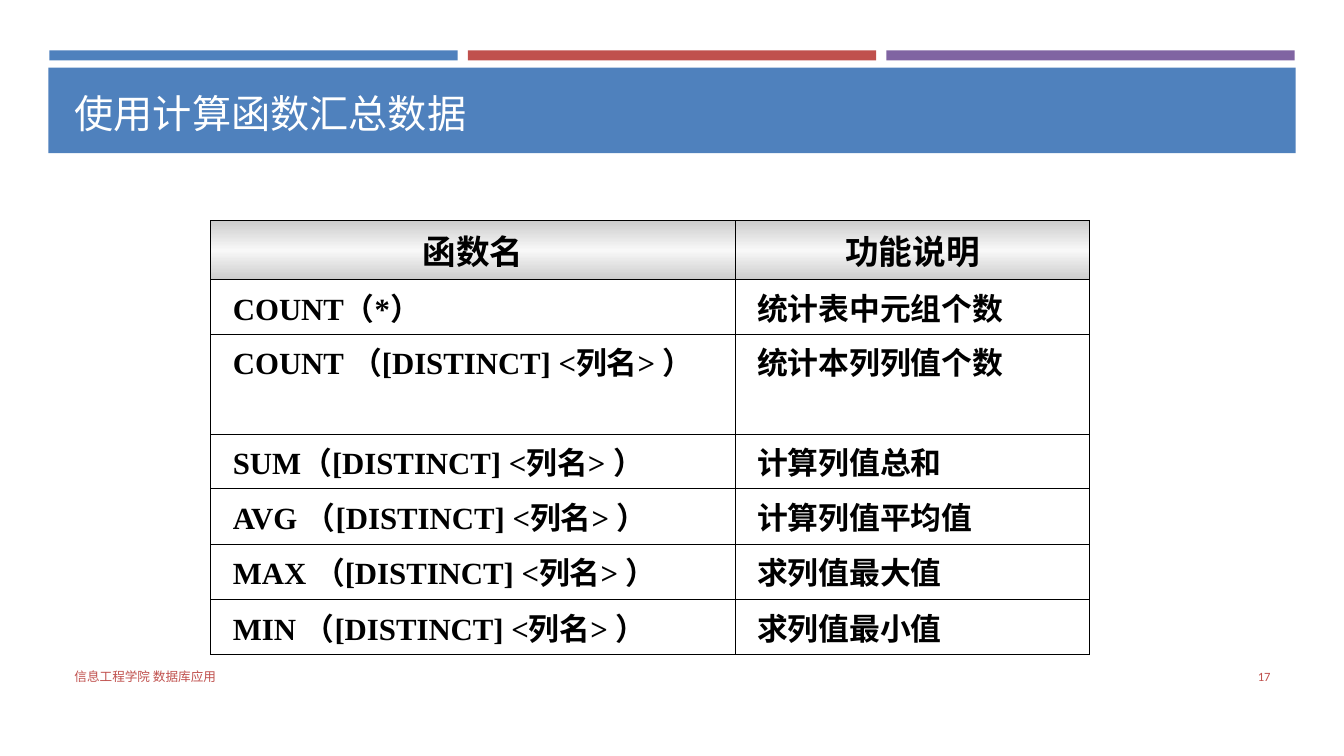
from dataclasses import dataclass

from lxml import etree
from pptx import Presentation
from pptx.dml.color import RGBColor
from pptx.enum.shapes import MSO_SHAPE
from pptx.enum.text import MSO_ANCHOR, MSO_AUTO_SIZE, PP_ALIGN
from pptx.oxml import parse_xml
from pptx.util import Inches, Pt

RECTANGLE = MSO_SHAPE.RECTANGLE
MIDDLE, BOTTOM, TOP = MSO_ANCHOR.MIDDLE, MSO_ANCHOR.BOTTOM, MSO_ANCHOR.TOP
LEFT, RIGHT, CENTER = PP_ALIGN.LEFT, PP_ALIGN.RIGHT, PP_ALIGN.CENTER
NO_AUTO_SIZE = MSO_AUTO_SIZE.NONE
TITLE_ONLY = 5
DRAWING = "http://schemas.openxmlformats.org/drawingml/2006/main"


@dataclass(frozen=True)
class Theme:
    blue: str = "4F81BD"
    red: str = "C0504D"
    purple: str = "8064A2"
    white: str = "FFFFFF"
    black: str = "000000"
    header_edge: str = "CCCCCC"
    header_middle: str = "F8F8F8"
    serif: str = "Times New Roman"
    sans: str = "Calibri"
    title_size: int = 28
    header_size: int = 24
    body_size: int = 22
    footer_size: int = 9


class SlideBuilder:
    def __init__(self, slide, theme):
        self.slide = slide
        self.theme = theme

    def style(self, paragraph, font_name, size, color, align=LEFT, bold=False):
        paragraph.alignment = align
        font = paragraph.font
        font.name, font.size, font.bold = font_name, Pt(size), bold
        font.color.rgb = RGBColor.from_string(color)

    def bar(self, left, top, width, height, color):
        shape = self.slide.shapes.add_shape(
            RECTANGLE, Inches(left), Inches(top), Inches(width), Inches(height))
        shape.shadow.inherit = False
        shape.fill.solid()
        shape.fill.fore_color.rgb = RGBColor.from_string(color)
        shape.line.fill.background()

    def title(self, text, left, top, width, height):
        title = self.slide.shapes.title
        title.left, title.top = Inches(left), Inches(top)
        title.width, title.height = Inches(width), Inches(height)
        frame = title.text_frame
        frame.text = text
        frame.auto_size = NO_AUTO_SIZE
        frame.vertical_anchor = BOTTOM
        self.style(frame.paragraphs[0], self.theme.serif,
                   self.theme.title_size, self.theme.white)
        # Bring the title in front of the banner
        self.slide.shapes._spTree.append(title._element)

    def footer(self, text, left, width, align=LEFT):
        shape = self.slide.shapes.add_textbox(
            Inches(left), Inches(6.51), Inches(width), Inches(0.4))
        frame = shape.text_frame
        frame.word_wrap = True
        frame.vertical_anchor = MIDDLE
        frame.text = text
        self.style(frame.paragraphs[0], self.theme.sans,
                   self.theme.footer_size, self.theme.red, align)

    def table(self, rows, left, top, widths, heights):
        frame = self.slide.shapes.add_table(
            len(rows), len(widths), Inches(left), Inches(top),
            Inches(sum(widths)), Inches(sum(heights)))
        table = frame.table
        for column, width in zip(table.columns, widths):
            column.width = Inches(width)
        for row, height in zip(table.rows, heights):
            row.height = Inches(height)
        for row_index, texts in enumerate(rows):
            for column_index, text in enumerate(texts):
                self.cell(table.cell(row_index, column_index), text, row_index == 0)

    def cell(self, cell, text, is_header):
        theme = self.theme
        cell.margin_left = cell.margin_right = Inches(0.22)
        cell.margin_top = cell.margin_bottom = Inches(0.05)
        cell.vertical_anchor = TOP
        cell.text = text
        paragraph = cell.text_frame.paragraphs[0]
        size = theme.header_size if is_header else theme.body_size
        self.style(paragraph, theme.serif, size, theme.black,
                   CENTER if is_header else LEFT, bold=True)
        # Hanging indent
        properties = paragraph._p.get_or_add_pPr()
        properties.set("marL", str(Inches(0.38)))
        properties.set("indent", str(Inches(-0.38)))
        self.borders(cell, 1 if is_header else 0.75)
        if is_header:
            self.header_gradient(cell)
        else:
            cell.fill.background()

    def borders(self, cell, horizontal_width):
        properties = cell._tc.get_or_add_tcPr()
        for side in "LRTB":
            width = horizontal_width if side in "TB" else 0.75
            line = etree.SubElement(properties, f"{{{DRAWING}}}ln{side}", w=str(Pt(width)))
            fill = etree.SubElement(line, f"{{{DRAWING}}}solidFill")
            etree.SubElement(fill, f"{{{DRAWING}}}srgbClr", val=self.theme.black)

    def header_gradient(self, cell):
        edge, middle = self.theme.header_edge, self.theme.header_middle
        stops = "".join(
            f'<a:gs pos="{position}"><a:srgbClr val="{color}"/></a:gs>'
            for position, color in ((0, edge), (50000, middle), (100000, edge)))
        cell._tc.get_or_add_tcPr().append(parse_xml(
            f'<a:gradFill xmlns:a="{DRAWING}"><a:gsLst>{stops}</a:gsLst>'
            '<a:lin ang="5400000" scaled="0"/></a:gradFill>'))


def main():
    presentation = Presentation()
    presentation.slide_width, presentation.slide_height = Inches(13.33), Inches(7.5)
    slide = presentation.slides.add_slide(presentation.slide_layouts[TITLE_ONLY])
    theme = Theme()
    builder = SlideBuilder(slide, theme)

    # Colour bars and title banner
    for index, color in enumerate((theme.blue, theme.red, theme.purple)):
        builder.bar(0.49 + index * 4.15, 0.5, 4.05, 0.1, color)
    builder.bar(0.48, 0.67, 12.37, 0.85, theme.blue)
    builder.title("使用计算函数汇总数据", 0.64, 0.77, 12.06, 0.63)

    # Function table
    rows = [
        ("函数名", "功能说明"),
        ("COUNT（*）", "统计表中元组个数"),
        ("COUNT （[DISTINCT] <列名> ）", "统计本列列值个数"),
        ("SUM（[DISTINCT] <列名> ）", "计算列值总和"),
        ("AVG （[DISTINCT] <列名> ）", "计算列值平均值"),
        ("MAX （[DISTINCT] <列名> ）", "求列值最大值"),
        ("MIN （[DISTINCT] <列名> ）", "求列值最小值"),
    ]
    builder.table(rows, 2.09, 2.19, widths=(5.2, 3.52),
                  heights=(0.58, 0.54, 0.99, 0.54, 0.55, 0.55, 0.54))

    # Footer and slide number
    builder.footer("信息工程学院 数据库应用", 0.64, 7.56)
    builder.footer("17", 11.55, 1.15, RIGHT)

    presentation.save("out.pptx")


if __name__ == "__main__":
    main()
